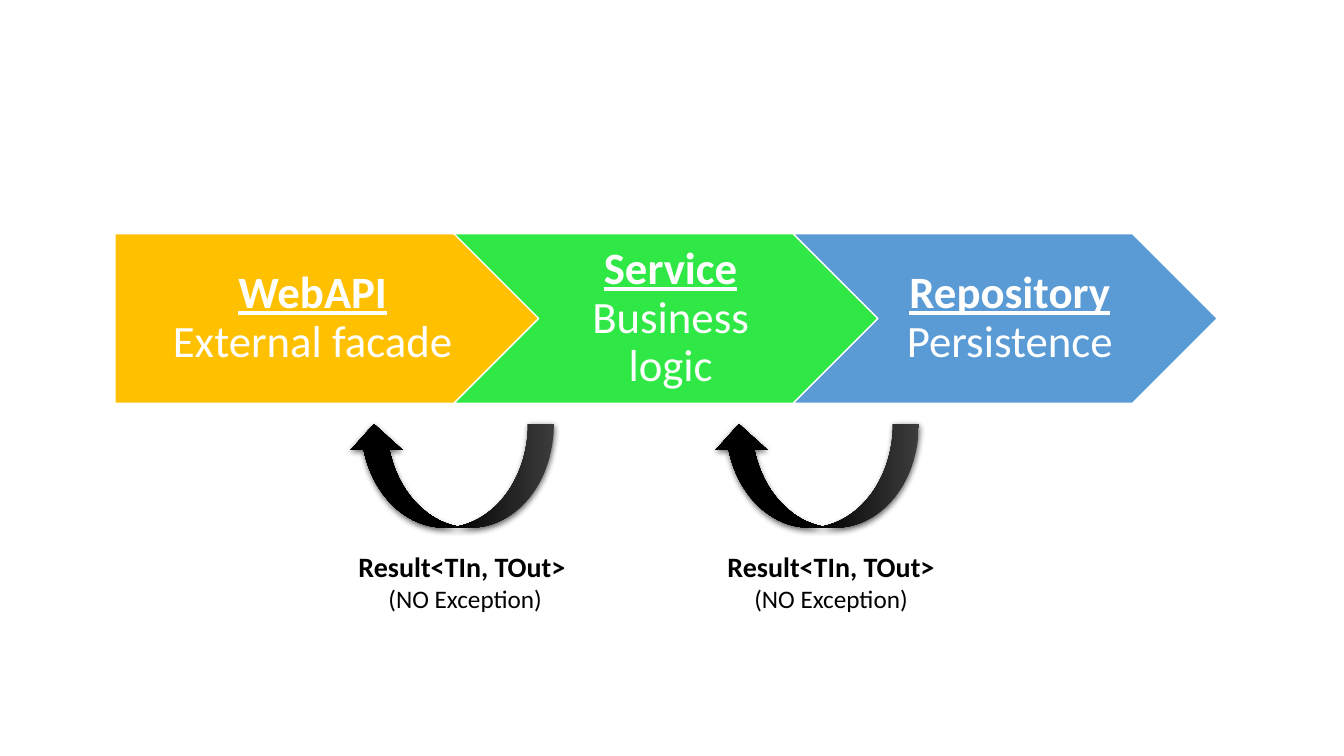
from dataclasses import dataclass

from lxml import etree
from pptx import Presentation
from pptx.dml.color import RGBColor
from pptx.enum.shapes import MSO_SHAPE
from pptx.enum.text import MSO_ANCHOR, MSO_AUTO_SIZE, PP_ALIGN
from pptx.oxml.ns import nsdecls
from pptx.util import Pt

PENTAGON = MSO_SHAPE.PENTAGON
CHEVRON = MSO_SHAPE.CHEVRON
CURVED_ARROW = MSO_SHAPE.CURVED_LEFT_ARROW
CENTER = PP_ALIGN.CENTER
MIDDLE = MSO_ANCHOR.MIDDLE
FIT_TEXT = MSO_AUTO_SIZE.SHAPE_TO_FIT_TEXT

FONT = "Calibri"
WHITE = "FFFFFF"
BLACK = "000000"

STAGE_LEFT, STAGE_TOP = 82, 167
STAGE_WIDTH, STAGE_HEIGHT = 303, 121
STAGE_STEP = 242.3
ARROW_TOP, ARROW_WIDTH, ARROW_HEIGHT = 266.4, 74, 147
CAPTION_TOP, CAPTION_WIDTH, CAPTION_HEIGHT = 388.8, 168, 53

ARROW_GRADIENT = f"""<a:gradFill {nsdecls("a")} rotWithShape="1"><a:gsLst>
<a:gs pos="0"><a:srgbClr val="4B4B4B"/></a:gs>
<a:gs pos="50000"><a:srgbClr val="000000"/></a:gs>
<a:gs pos="100000"><a:srgbClr val="000000"/></a:gs>
</a:gsLst><a:lin ang="5400000" scaled="0"/></a:gradFill>"""
ARROW_SHADOW = f"""<a:effectLst {nsdecls("a")}>
<a:outerShdw blurRad="57150" dist="19050" dir="5400000" algn="ctr" rotWithShape="0">
<a:srgbClr val="000000"><a:alpha val="63000"/></a:srgbClr>
</a:outerShdw></a:effectLst>"""


@dataclass
class Stage:
    name: str
    role: str
    color: str
    geometry: MSO_SHAPE
    left_inset: float


@dataclass
class ReturnFlow:
    arrow_left: float
    caption_center: float
    result: str


STAGES = [
    Stage("WebAPI", "External facade", "FFC000", PENTAGON, 13.5),
    Stage("Service", "Business logic", "30E845", CHEVRON, 10),
    Stage("Repository", "Persistence", "5B9BD5", CHEVRON, 10),
]
# The trailing space takes part in centring the first caption.
RETURN_FLOWS = [
    ReturnFlow(285.1, 332.3, "Result<TIn, TOut> "),
    ReturnFlow(545.8, 593.6, "Result<TIn, TOut>"),
]


def rgb(color: str) -> RGBColor:
    return RGBColor.from_string(color)


def write_two_lines(text_frame, lines: tuple[str, str], sizes: tuple[float, float],
                    color: str, underline: bool) -> None:
    """Write a bold heading and a plain line, centred in one paragraph."""
    paragraph = text_frame.paragraphs[0]
    paragraph.text = "\v".join(lines)
    paragraph.alignment = CENTER
    for index, (run, size) in enumerate(zip(paragraph.runs, sizes)):
        run.font.name = FONT
        run.font.size = Pt(size)
        run.font.color.rgb = rgb(color)
        run.font.bold = index == 0
        run.font.underline = underline and index == 0


def add_stage(slide, stage: Stage, left: float) -> None:
    shape = slide.shapes.add_shape(stage.geometry, Pt(left), Pt(STAGE_TOP),
                                   Pt(STAGE_WIDTH), Pt(STAGE_HEIGHT))
    shape.shadow.inherit = False
    shape.fill.solid()
    shape.fill.fore_color.rgb = rgb(stage.color)
    shape.line.color.rgb = rgb(WHITE)
    shape.line.width = Pt(1)
    text_frame = shape.text_frame
    text_frame.word_wrap = True
    text_frame.vertical_anchor = MIDDLE
    text_frame.margin_left = Pt(stage.left_inset)
    text_frame.margin_right = Pt(3.5)
    text_frame.margin_top = text_frame.margin_bottom = Pt(6.7)
    write_two_lines(text_frame, (stage.name, stage.role), (32, 32), WHITE, True)
    text_frame.paragraphs[0].line_spacing = 0.9


def add_return_arrow(slide, left: float) -> None:
    arrow = slide.shapes.add_shape(CURVED_ARROW, Pt(left), Pt(ARROW_TOP),
                                   Pt(ARROW_WIDTH), Pt(ARROW_HEIGHT))
    arrow.rotation = 90
    arrow.line.fill.background()
    properties = arrow.element.spPr
    properties.insert(2, etree.fromstring(ARROW_GRADIENT))
    properties.append(etree.fromstring(ARROW_SHADOW))


def add_caption(slide, flow: ReturnFlow) -> None:
    left = flow.caption_center - CAPTION_WIDTH / 2
    caption = slide.shapes.add_textbox(Pt(left), Pt(CAPTION_TOP),
                                       Pt(CAPTION_WIDTH), Pt(CAPTION_HEIGHT))
    caption.text_frame.word_wrap = False
    caption.text_frame.auto_size = FIT_TEXT
    write_two_lines(caption.text_frame, (flow.result, "(NO Exception)"),
                    (20, 18), BLACK, False)


def main() -> None:
    presentation = Presentation()
    presentation.slide_width = Pt(960)
    presentation.slide_height = Pt(540)
    slide = presentation.slides.add_slide(presentation.slide_layouts[6])
    for index, stage in enumerate(STAGES):
        add_stage(slide, stage, STAGE_LEFT + index * STAGE_STEP)
    for flow in RETURN_FLOWS:
        add_return_arrow(slide, flow.arrow_left)
        add_caption(slide, flow)
    presentation.save("out.pptx")


if __name__ == "__main__":
    main()
